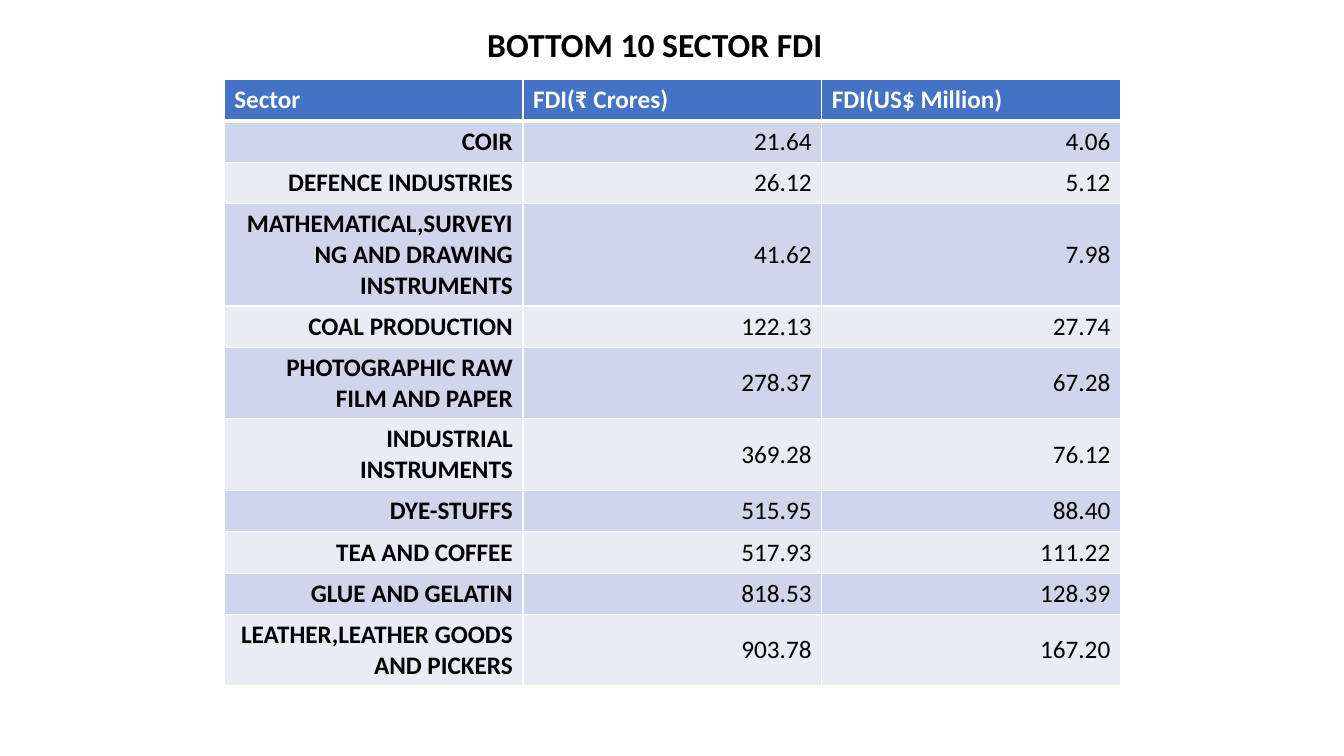
from dataclasses import dataclass

from lxml import etree
from pptx import Presentation
from pptx import util as u
from pptx.dml.color import RGBColor
from pptx.enum import text
from pptx.oxml import ns

SLIDE_WIDTH = u.Inches(13.33)
SLIDE_HEIGHT = u.Inches(7.5)
ROW_HEIGHT = u.Inches(0.41)
FONT = "Calibri"
WHITE = "FFFFFF"
BLACK = "000000"
HEADER_FILL = "4472C4"
BAND_FILLS = ("CFD5EA", "E9EBF5")
HEADINGS = ("Sector", "FDI(₹ Crores)", "FDI(US$ Million)")


@dataclass(frozen=True)
class Sector:
    name: str
    crores: float
    millions: float

    def labels(self) -> tuple[str, ...]:
        return self.name, f"{self.crores:.2f}", f"{self.millions:.2f}"


@dataclass(frozen=True)
class CellStyle:
    fill: str
    color: str
    bold: bool
    align: text.PP_ALIGN
    anchor: text.MSO_ANCHOR
    top: float = 1
    bottom: float = 1


SECTORS = (
    Sector("COIR", 21.64, 4.06),
    Sector("DEFENCE INDUSTRIES", 26.12, 5.12),
    Sector("MATHEMATICAL,SURVEYING AND DRAWING INSTRUMENTS", 41.62, 7.98),
    Sector("COAL PRODUCTION", 122.13, 27.74),
    Sector("PHOTOGRAPHIC RAW FILM AND PAPER", 278.37, 67.28),
    Sector("INDUSTRIAL INSTRUMENTS", 369.28, 76.12),
    Sector("DYE-STUFFS", 515.95, 88.40),
    Sector("TEA AND COFFEE", 517.93, 111.22),
    Sector("GLUE AND GELATIN", 818.53, 128.39),
    Sector("LEATHER,LEATHER GOODS AND PICKERS", 903.78, 167.20),
)


def across(share: float) -> int:
    return round(SLIDE_WIDTH * share / 100)


def down(share: float) -> int:
    return round(SLIDE_HEIGHT * share / 100)


def rgb(value: str) -> RGBColor:
    return RGBColor.from_string(value)


def add_span(para, content: str, size: float, color: str, bold: bool) -> None:
    span = para.add_run()
    span.text = content
    span.font.name = FONT
    span.font.size = u.Pt(size)
    span.font.bold = bold
    span.font.color.rgb = rgb(color)


def add_borders(cell, top: float, bottom: float) -> None:
    properties = cell._tc.get_or_add_tcPr()
    widths = {"lnL": 1, "lnR": 1, "lnT": top, "lnB": bottom}
    for position, (side, width) in enumerate(widths.items()):
        line = etree.Element(ns.qn(f"a:{side}"), w=str(u.Pt(width)))
        fill = etree.SubElement(line, ns.qn("a:solidFill"))
        etree.SubElement(fill, ns.qn("a:srgbClr"), val=WHITE)
        properties.insert(position, line)


def fill_cell(cell, content: str, style: CellStyle) -> None:
    cell.vertical_anchor = style.anchor
    cell.fill.solid()
    cell.fill.fore_color.rgb = rgb(style.fill)
    add_borders(cell, style.top, style.bottom)
    para = cell.text_frame.paragraphs[0]
    para.alignment = style.align
    add_span(para, content, 18, style.color, style.bold)


def add_title(page, content: str) -> None:
    box = page.shapes.title
    box.left, box.top = across(15.38), down(2.53)
    box.width, box.height = across(66.69), down(6.73)
    frame = box.text_frame
    frame.word_wrap = True
    frame.auto_size = text.MSO_AUTO_SIZE.NONE
    frame.vertical_anchor = text.MSO_ANCHOR.TOP
    para = frame.paragraphs[0]
    para.alignment = text.PP_ALIGN.CENTER
    add_span(para, content, 24, BLACK, True)


def add_sector_table(page) -> None:
    row_count = len(SECTORS) + 1
    table = page.shapes.add_table(
        row_count, len(HEADINGS), across(16.68), down(10.53),
        across(66.69), ROW_HEIGHT * row_count).table
    for row in table.rows:
        row.height = ROW_HEIGHT
    header = CellStyle(HEADER_FILL, WHITE, True, text.PP_ALIGN.LEFT,
                       text.MSO_ANCHOR.TOP, bottom=3)
    for column, heading in enumerate(HEADINGS):
        fill_cell(table.cell(0, column), heading, header)
    for index, sector in enumerate(SECTORS):
        for column, label in enumerate(sector.labels()):
            style = CellStyle(BAND_FILLS[index % 2], BLACK, column == 0,
                              text.PP_ALIGN.RIGHT, text.MSO_ANCHOR.MIDDLE,
                              top=3 if index == 0 else 1)
            fill_cell(table.cell(index + 1, column), label, style)


def main() -> None:
    deck = Presentation()
    deck.slide_width, deck.slide_height = SLIDE_WIDTH, SLIDE_HEIGHT
    page = deck.slides.add_slide(deck.slide_layouts.get_by_name("Title Only"))
    add_title(page, "BOTTOM 10 SECTOR FDI")
    add_sector_table(page)
    deck.save("out.pptx")


if __name__ == "__main__":
    main()
